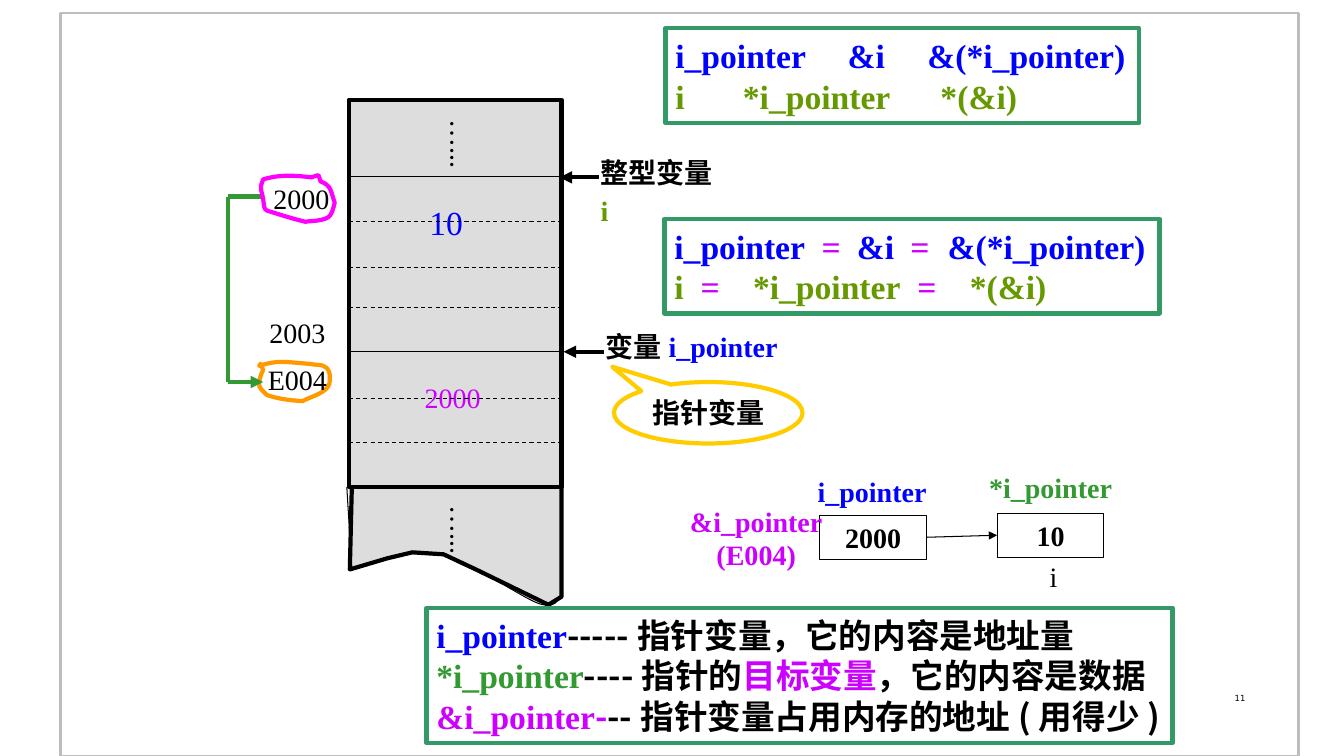
from lxml.etree import SubElement
from pptx import Presentation
from pptx.dml.color import RGBColor
from pptx.enum.dml import MSO_LINE
from pptx.enum.shapes import MSO_CONNECTOR, MSO_SHAPE
from pptx.enum.text import MSO_ANCHOR, PP_ALIGN
from pptx.oxml.ns import qn
from pptx.util import Pt

PX = 9144
SERIF = "Times New Roman"
CHINESE = "Noto Sans CJK SC"
SANS = "DejaVu Sans"

BLACK = RGBColor(0x00, 0x00, 0x00)
WHITE = RGBColor(0xFF, 0xFF, 0xFF)
FRAME_GRAY = RGBColor(0xBD, 0xBD, 0xBD)
MEMORY_GRAY = RGBColor(0xDD, 0xDD, 0xDD)
BLUE = RGBColor(0x00, 0x00, 0xFF)
OLIVE = RGBColor(0x66, 0x99, 0x00)
GREEN = RGBColor(0x33, 0x99, 0x33)
TEAL = RGBColor(0x33, 0x99, 0x66)
PURPLE = RGBColor(0xCC, 0x00, 0xFF)
MAGENTA = RGBColor(0xFF, 0x00, 0xFF)
ORANGE = RGBColor(0xFF, 0x99, 0x00)
YELLOW = RGBColor(0xFF, 0xCC, 0x00)


def write_text(shape, lines, size=20, color=BLACK, bold=False, font=SERIF, align=PP_ALIGN.CENTER,
               anchor=MSO_ANCHOR.MIDDLE, spacing=None, tabs=(), vertical=False):
    frame = shape.text_frame
    frame.word_wrap = align != PP_ALIGN.CENTER
    frame.vertical_anchor = anchor
    if align == PP_ALIGN.LEFT:
        frame.margin_right = 0
    if vertical:
        frame._txBody.bodyPr.set("vert", "eaVert")
    for index, line in enumerate(lines):
        paragraph = frame.paragraphs[0] if index == 0 else frame.add_paragraph()
        paragraph.alignment = align
        if spacing:
            paragraph.line_spacing = Pt(spacing)
        if tabs:
            tab_list = SubElement(paragraph._p.get_or_add_pPr(), qn("a:tabLst"))
            for position in tabs[index]:
                SubElement(tab_list, qn("a:tab"), pos=str(position * PX), algn="l")
        for piece in [(line, color)] if isinstance(line, str) else line:
            run = paragraph.add_run()
            run.text = piece[0]
            run.font.size = Pt(size)
            run.font.bold = bold
            run.font.color.rgb = piece[1]
            run.font.name = piece[2] if len(piece) > 2 else font
            SubElement(run._r.get_or_add_rPr(), qn("a:ea"), typeface=CHINESE)


def add_label(slide, left, top, width, height, lines, **text_format):
    label = slide.shapes.add_textbox(left * PX, top * PX, width * PX, height * PX)
    write_text(label, lines, **text_format)


def style_shape(shape, fill, line, weight):
    shape.shadow.inherit = False
    if fill is None:
        shape.fill.background()
    else:
        shape.fill.solid()
        shape.fill.fore_color.rgb = fill
    shape.line.color.rgb = line
    shape.line.width = Pt(weight)


def add_box(slide, left, top, width, height, fill=WHITE, line=BLACK, weight=3, kind=MSO_SHAPE.RECTANGLE):
    box = slide.shapes.add_shape(kind, left * PX, top * PX, width * PX, height * PX)
    style_shape(box, fill, line, weight)
    return box


def add_line(slide, start, end, color=BLACK, weight=0.75, dashed=False, arrow=False):
    connector = slide.shapes.add_connector(
        MSO_CONNECTOR.STRAIGHT, start[0] * PX, start[1] * PX, end[0] * PX, end[1] * PX)
    connector.line.color.rgb = color
    connector.line.width = Pt(weight)
    if dashed:
        connector.line.dash_style = MSO_LINE.DASH
    if arrow:
        SubElement(connector.line._get_or_add_ln(), qn("a:tailEnd"), type="triangle")
    SubElement(connector._element.spPr, qn("a:effectLst"))
    return connector


def add_outline(slide, left, top, points, fill=None, line=BLACK, weight=3, close=True, curved=False):
    placed = [(left + x, top + y) for x, y in points]
    builder = slide.shapes.build_freeform(*placed[0], scale=PX)
    builder.add_line_segments(placed[1:], close=close)
    outline = builder.convert_to_shape()
    style_shape(outline, fill, line, weight)
    if curved:
        bend_segments(outline)


def bend_segments(outline):
    segments = list(outline._element.iter(qn("a:lnTo")))
    for index in range(0, len(segments) - 2, 3):
        parent = segments[index].getparent()
        curve = SubElement(parent, qn("a:cubicBezTo"))
        parent.replace(segments[index], curve)
        curve.append(segments[index][0])
        for segment in segments[index + 1:index + 3]:
            curve.append(segment[0])
            parent.remove(segment)


def draw_memory(slide, left, top, width, height):
    bottom = top + height
    torn_edge = [(0, 22), (28, 11), (56, 0), (87, 6), (119, 12), (169, 49), (189, 56),
                 (210, 62), (207, 47), (211, 45)]
    add_outline(slide, left, bottom + 60, torn_edge, weight=0.75, close=False, curved=True)
    torn_block = [(3, 0), (211, 0), (211, 109), (198, 117), (126, 82), (94, 67), (63, 65), (38, 71), (1, 82)]
    add_outline(slide, left, bottom, torn_block, fill=MEMORY_GRAY)
    add_box(slide, left, top, width, height, fill=MEMORY_GRAY)
    add_line(slide, (left - 2, bottom), (left + 3, bottom + 83))
    add_line(slide, (left + width, bottom + 2), (left + width, bottom + 106))
    for dots_top in (top + 10, bottom + 9):
        add_label(slide, left + 85, dots_top, 54, 59, ["…..."], vertical=True)
    add_label(slide, left + 70, top + 96, 53, 50, ["10"], size=24, color=BLUE)
    add_label(slide, left + 65, top + 274, 76, 43, ["2000"], color=PURPLE)
    for offset in (76, 250):
        add_line(slide, (left, top + offset), (left + width, top + offset))
    for offset in (121, 166, 206, 296, 340):
        add_line(slide, (left, top + offset), (left + width, top + offset), dashed=True)


def draw_addresses(slide, left, top):
    lower_ring = [(31, 191), (50, 185), (55, 187), (81, 189), (92, 191), (98, 188), (101, 199),
                  (101, 204), (102, 208), (99, 212), (94, 219), (81, 222), (74, 226),
                  (61, 225), (51, 224), (39, 220), (36, 217), (30, 213), (31, 208),
                  (31, 203), (35, 195), (35, 195), (32, 188), (34, 187), (31, 191)]
    upper_ring = [(83, 4), (67, 2), (51, 1), (35, 6), (32, 15), (32, 12), (35, 25),
                  (36, 29), (35, 36), (39, 37), (52, 41), (64, 45), (77, 48),
                  (80, 47), (98, 48), (102, 41), (104, 38), (106, 29), (106, 29),
                  (102, 18), (103, 12), (92, 8), (89, 0), (92, 1), (83, 4)]
    add_outline(slide, left, top, lower_ring, fill=WHITE, line=ORANGE, curved=True)
    for address, x, y, width in (("2000", 35, 3, 76), ("2003", 31, 136, 76), ("E004", 24, 183, 90)):
        add_label(slide, left + x, top + y, width, 43, [address])
    corners = [(left + x, top + y) for x, y in ((35, 23), (0, 23), (0, 207), (35, 207))]
    for index in range(3):
        add_line(slide, corners[index], corners[index + 1], color=GREEN, weight=3, arrow=index == 2)
    add_outline(slide, left, top, upper_ring, line=MAGENTA, curved=True)


def draw_variable_names(slide, left, top):
    name_format = dict(bold=True, align=PP_ALIGN.LEFT, anchor=MSO_ANCHOR.TOP, spacing=27)
    add_line(slide, (left + 39, top + 27), (left, top + 27), weight=3, arrow=True)
    add_label(slide, left + 31, top - 4, 125, 85, [[("整型变量", BLACK), ("i", OLIVE)]], **name_format)
    add_line(slide, (left + 44, top + 200), (left + 4, top + 200), weight=3, arrow=True)
    add_label(slide, left + 36, top + 169, 200, 44, [[("变量", BLACK), ("i_pointer", BLUE)]], **name_format)
    callout = add_box(slide, left + 54, top + 230, 187, 61, fill=None, line=YELLOW,
                      kind=MSO_SHAPE.OVAL_CALLOUT)
    callout.adjustments[0] = -0.51
    callout.adjustments[1] = -0.75
    write_text(callout, ["指针变量"], bold=True)


def draw_pointer_diagram(slide, left, top):
    cells = []
    for value, x, y in (("2000", 139, 49), ("10", 315, 47)):
        cell = add_box(slide, left + x, top + y, 106, 44, weight=0.75)
        write_text(cell, [value], bold=True)
        cells.append(cell)
    arrow = add_line(slide, (left + 245, top + 71), (left + 315, top + 69), arrow=True)
    arrow.begin_connect(cells[0], 3)
    arrow.end_connect(cells[1], 1)
    add_label(slide, left + 127, top + 4, 128, 43, ["i_pointer"], color=BLUE, bold=True)
    add_label(slide, left + 297, top, 142, 43, ["*i_pointer"], color=GREEN, bold=True)
    add_label(slide, left, top + 33, 152, 77, ["&i_pointer", "(E004)"], color=PURPLE, bold=True)
    add_label(slide, left + 357, top + 88, 28, 44, ["i"])


def draw_note(slide, left, top, width, height, lines, tabs=()):
    note = add_box(slide, left, top, width, height, line=TEAL)
    write_text(note, lines, size=24, bold=True, align=PP_ALIGN.LEFT, spacing=29, tabs=tabs)


def main():
    presentation = Presentation()
    presentation.slide_width = 1333 * PX
    presentation.slide_height = 750 * PX
    slide = presentation.slides.add_slide(presentation.slide_layouts[6])
    add_box(slide, 60, 13, 1228, 737, line=FRAME_GRAY, weight=2)
    add_label(slide, 956, 683, 289, 52, ["11"], size=6, font=SANS,
              align=PP_ALIGN.RIGHT, anchor=MSO_ANCHOR.TOP)
    draw_memory(slide, 346, 99, 211, 384)
    draw_addresses(slide, 226, 172)
    draw_variable_names(slide, 555, 149)
    draw_pointer_diagram(slide, 674, 462)
    draw_note(slide, 423, 603, 740, 134, [
        [("i_pointer", BLUE), ("-----指针变量，它的内容是地址量", BLACK, CHINESE)],
        [("*i_pointer", GREEN), ("----指针的", BLACK, CHINESE), ("目标变量", PURPLE, CHINESE),
         ("，它的内容是数据", BLACK, CHINESE)],
        [("&i_pointer", PURPLE), ("-", PURPLE, CHINESE),
         ("--指针变量占用内存的地址(用得少)", BLACK, CHINESE)]])
    draw_note(slide, 660, 28, 470, 94, [
        [("i_pointer\t&i\t&(*i_pointer)", BLUE)],
        [("i\t*i_pointer\t*(&i)", OLIVE)]], tabs=[(171, 250), (67, 263)])
    draw_note(slide, 659, 217, 491, 94, [
        [("i_pointer\t", BLUE), ("=\t", PURPLE), ("&i\t", BLUE), ("=\t", PURPLE), ("&(*i_pointer)", BLUE)],
        [("i\t", OLIVE), ("=\t", PURPLE), ("*i_pointer\t", OLIVE), ("=\t", PURPLE), ("*(&i)", OLIVE)]],
        tabs=[(146, 181, 234, 271), (26, 78, 241, 293)])
    presentation.save("out.pptx")


if __name__ == "__main__":
    main()
